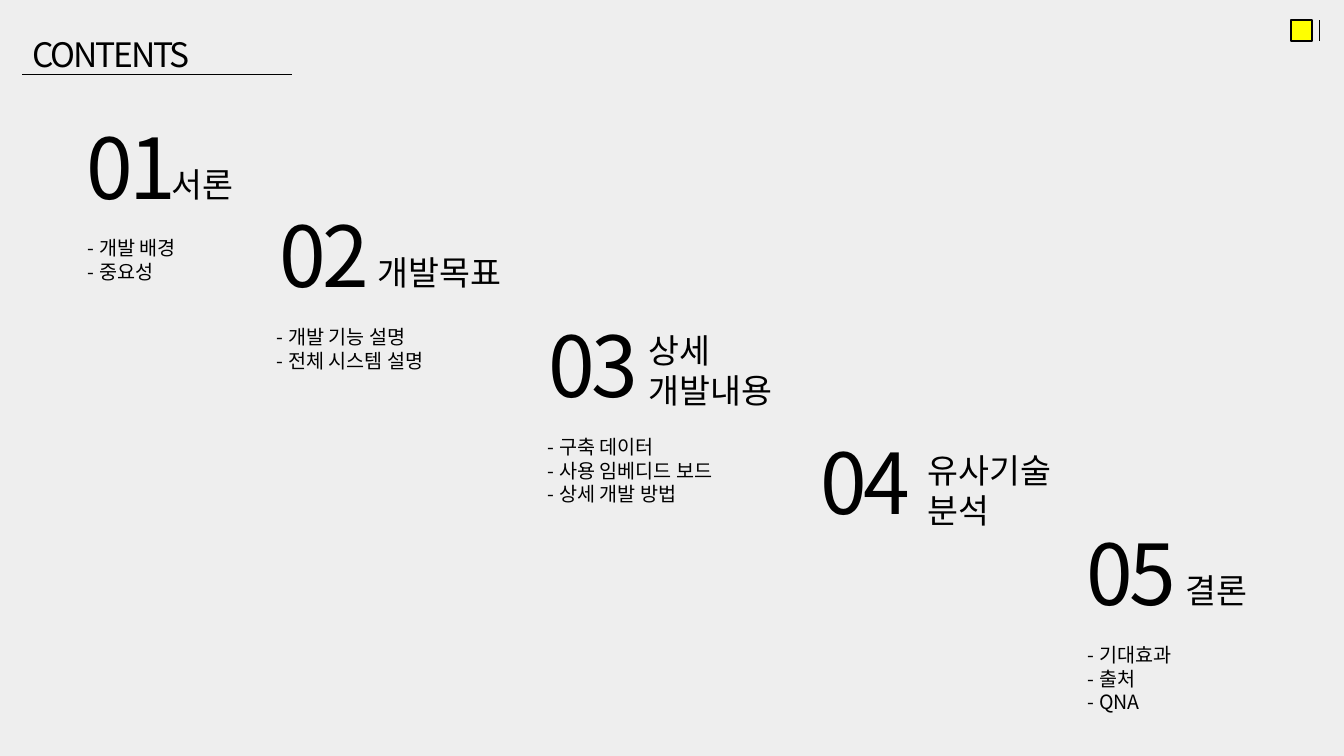
from dataclasses import dataclass

from lxml.etree import SubElement
from pptx import Presentation
from pptx.dml.color import RGBColor
from pptx.enum.shapes import MSO_CONNECTOR, MSO_SHAPE
from pptx.enum.text import MSO_ANCHOR, PP_ALIGN
from pptx.oxml.ns import qn
from pptx.util import Emu, Pt

PX = 9071  # EMU in one pixel at 100.8 px to the inch
TITLE_ONLY = 5


@dataclass(frozen=True)
class Theme:
    font: str = "Noto Sans CJK KR"
    background: RGBColor = RGBColor(0xEE, 0xEE, 0xEE)
    ink: RGBColor = RGBColor(0, 0, 0)
    accent: RGBColor = RGBColor(0xFF, 0xFF, 0)
    number_size: int = 60
    heading_size: int = 24
    item_size: int = 14
    thin: float = 0.5
    outline: float = 1


def px(*lengths):
    return [Emu(length * PX) for length in lengths]


def write_text(frame, text, *, theme, size, tracking=0, line_spacing=1.0):
    """Fill a text frame with one paragraph per line; tracking is in points."""
    frame.word_wrap = True
    frame.vertical_anchor = MSO_ANCHOR.TOP
    for index, line in enumerate(text.split("\n")):
        paragraph = frame.paragraphs[0] if index == 0 else frame.add_paragraph()
        paragraph.alignment = PP_ALIGN.LEFT
        paragraph.line_spacing = line_spacing
        run = paragraph.add_run()
        run.text = line
        run.font.size = Pt(size)
        run.font.color.rgb = theme.ink
        run.font.name = theme.font
        properties = run.font._element
        SubElement(properties, qn("a:ea"), typeface=theme.font)
        if tracking:
            properties.set("spc", str(int(tracking * 100)))


class ContentsSlide:
    def __init__(self, presentation, theme):
        self.theme = theme
        self.slide = presentation.slides.add_slide(presentation.slide_layouts[TITLE_ONLY])
        self.slide.background.fill.solid()
        self.slide.background.fill.fore_color.rgb = theme.background

    def title(self, text, box):
        heading = self.slide.shapes.title
        heading.left, heading.top, heading.width, heading.height = px(*box)
        write_text(heading.text_frame, text, theme=self.theme,
                   size=self.theme.heading_size, tracking=-1.5)

    def text(self, shapes, text, box, **style):
        label = shapes.add_textbox(*px(*box))
        write_text(label.text_frame, text, theme=self.theme, **style)

    def line(self, shapes, start, end):
        rule = shapes.add_connector(MSO_CONNECTOR.STRAIGHT, *px(*start, *end))
        rule.line.color.rgb = self.theme.ink
        rule.line.width = Pt(self.theme.thin)
        SubElement(rule._element.spPr, qn("a:effectLst"))

    def corner_mark(self, left, top, side):
        """Draw the accent square with a thin rule to its right."""
        shapes = self.slide.shapes.add_group_shape().shapes
        square = shapes.add_shape(MSO_SHAPE.RECTANGLE, *px(left, top, side, side))
        square.shadow.inherit = False
        square.fill.solid()
        square.fill.fore_color.rgb = self.theme.accent
        square.line.color.rgb = self.theme.ink
        square.line.width = Pt(self.theme.outline)
        rule_x = left + side + 7
        self.line(shapes, (rule_x, top + side), (rule_x, top))

    def section(self, number, number_at, heading, heading_box, items, items_box):
        theme = self.theme
        shapes = self.slide.shapes.add_group_shape().shapes
        self.text(shapes, f"{number:02}", (*number_at, 149, 122),
                  size=theme.number_size, tracking=-3)
        # Headings in the tall boxes run over two lines and are set solid.
        two_lines = heading_box[3] > 80
        self.text(shapes, heading, heading_box, size=theme.heading_size,
                  line_spacing=1.0 if two_lines else 1.5)
        if items:
            self.text(shapes, "\n".join(f"- {item}" for item in items), items_box,
                      size=theme.item_size)


SECTIONS = [
    ((77, 111), "서론", (162, 139, 113, 71),
     ["개발 배경", "중요성"], (78, 231, 246, 56)),
    ((270, 199), "개발목표", (368, 227, 166, 71),
     ["개발 기능 설명", "전체 시스템 설명"], (267, 320, 246, 56)),
    ((539, 309), "상세\n개발내용", (639, 325, 168, 91),
     ["구축 데이터", "사용 임베디드 보드", "상세 개발 방법"], (538, 430, 339, 80)),
    ((811, 426), "유사기술 분석", (918, 445, 168, 92), [], None),
    ((1077, 517), "결론", (1176, 545, 164, 71),
     ["기대효과", "출처", "QNA"], (1078, 638, 266, 80)),
]


def main():
    presentation = Presentation()
    presentation.slide_width, presentation.slide_height = px(1344, 756)
    contents = ContentsSlide(presentation, Theme())
    contents.title("CONTENTS", (22, 29, 314, 49))
    contents.line(contents.slide.shapes, (292, 74), (22, 74))
    contents.corner_mark(1291, 20, 21)
    for number, section in enumerate(SECTIONS, start=1):
        contents.section(number, *section)
    presentation.save("out.pptx")


if __name__ == "__main__":
    main()
